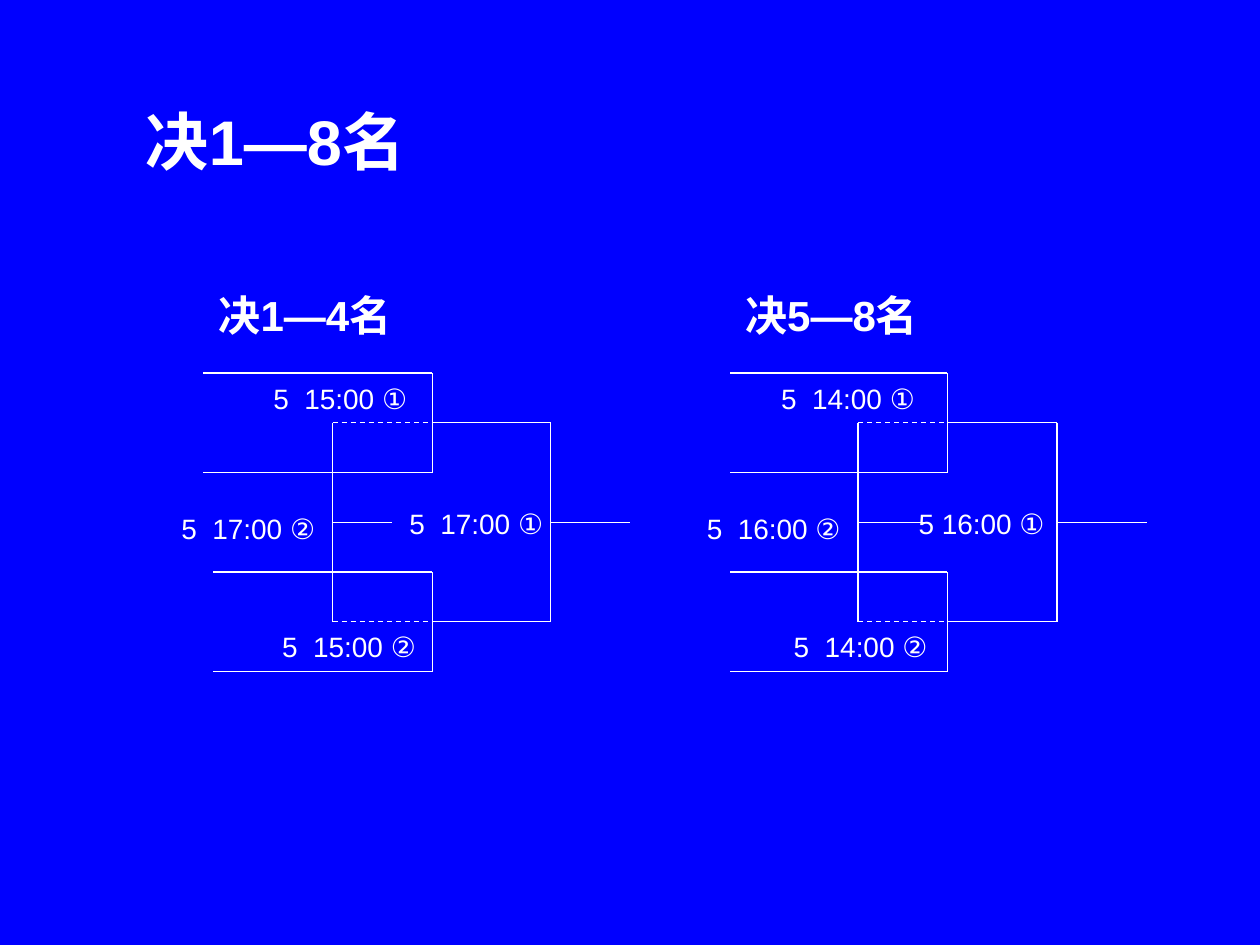
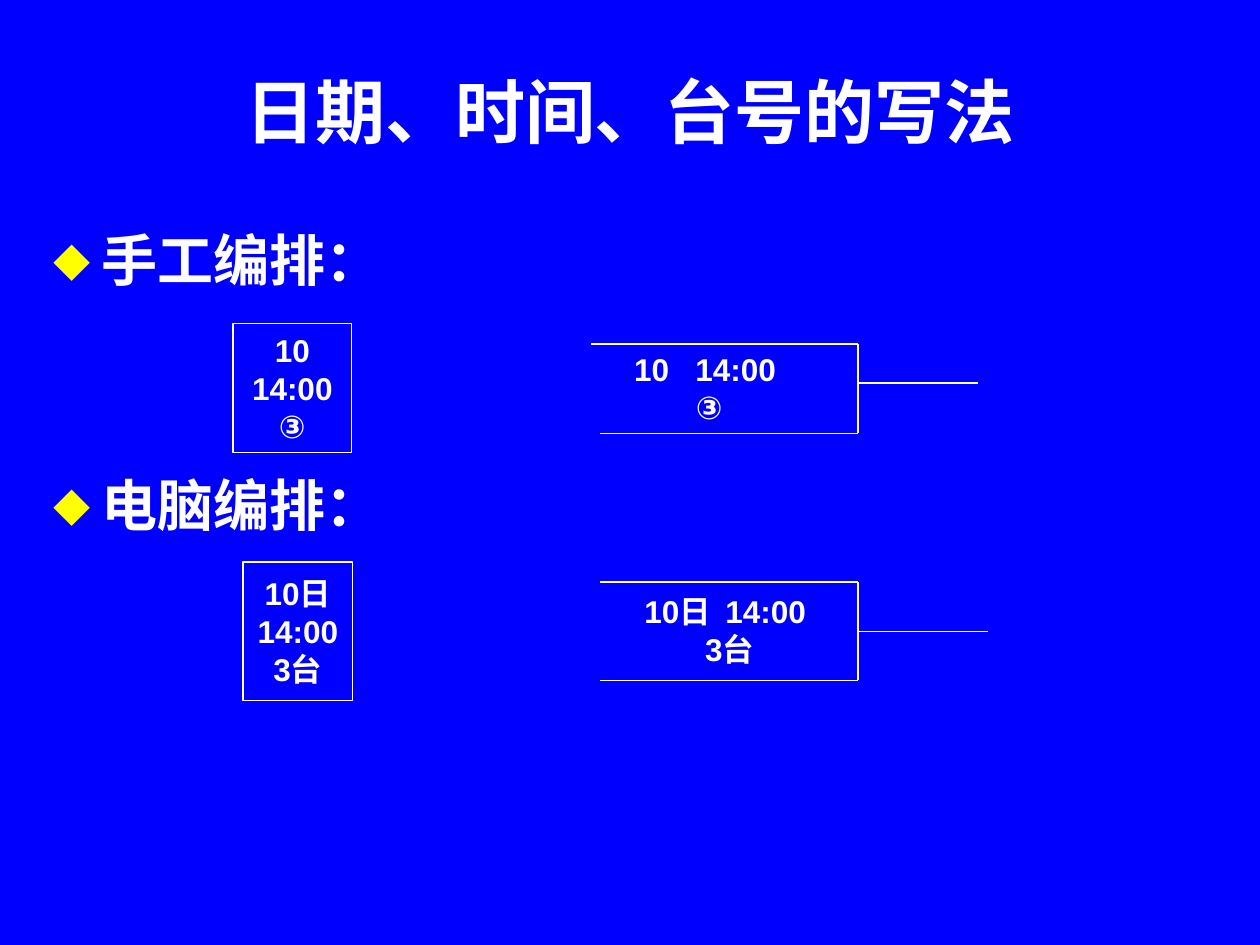
from lxml.etree import SubElement
from pptx import Presentation
from pptx.dml.color import RGBColor
from pptx.enum.dml import MSO_LINE
from pptx.enum.shapes import MSO_CONNECTOR, MSO_SHAPE
from pptx.enum.text import MSO_ANCHOR, PP_ALIGN
from pptx.oxml.ns import qn
from pptx.util import Inches, Pt

BLUE, WHITE, YELLOW = "0000FF", "FFFFFF", "FFFF00"
FONT = "Arial"
LINE_WIDTH = 0.75
ROW = 0.79  # distance between neighbouring bracket lines


def color(value):
    return RGBColor.from_string(value)


def write(sp, text, size, bold=False, align=PP_ALIGN.CENTER, wrap=False):
    tf = sp.text_frame
    tf.text = text
    tf.word_wrap = wrap
    tf.vertical_anchor = MSO_ANCHOR.MIDDLE
    for p in tf.paragraphs:
        p.alignment = align
        for r in p.runs:
            r.font.name = FONT
            r.font.size = Pt(size)
            r.font.bold = bold
            r.font.color.rgb = color(WHITE)


def add_text(s, box, text, size, **style):
    sp = s.shapes.add_textbox(*map(Inches, box))
    write(sp, text, size, **style)
    return sp


def add_label(s, cx, cy, text, size, bold=False):
    """Place one line of text centred on a point."""
    width, height = 1.6, 0.4
    add_text(s, (cx - width / 2, cy - height / 2, width, height), text, size, bold=bold)


def add_title(s, box, text, size, align):
    add_text(s, box, text, size, bold=True, align=align, wrap=True)


def add_line(s, x1, y1, x2, y2, dashed=False):
    c = s.shapes.add_connector(MSO_CONNECTOR.STRAIGHT, *map(Inches, (x1, y1, x2, y2)))
    c.line.color.rgb = color(WHITE)
    c.line.width = Pt(LINE_WIDTH)
    if dashed:
        c.line.dash_style = MSO_LINE.DASH
    SubElement(c._element.spPr, qn("a:effectLst"))


def add_bracket(s, starts, join, top, bottom, end=None, stem=None, dashed=False):
    """Two arms meet the upright at join; a stem leads on to end."""
    for start, y in zip(starts, (top, bottom)):
        add_line(s, join, y, start, y, dashed)
    add_line(s, join, top, join, bottom)
    if end is not None:
        y = (top + bottom) / 2 if stem is None else stem
        add_line(s, join, y, end, y)


def add_playoff(s, x, y, heading, lower_start, join, winner, loser, matches):
    """Four-player playoff; winner and loser hold (upright, stem end) from x."""
    for row, start in ((0, 0), (2, lower_start)):
        top = y + row * ROW
        add_bracket(s, (x + start,) * 2, x + join, top, top + ROW)
    for (upright, end), dashed in ((winner, False), (loser, True)):
        add_bracket(s, (x + join,) * 2, x + upright, y + ROW / 2, y + 2.5 * ROW,
                    x + end, dashed=dashed)
    add_label(s, x + 0.81, y - 0.46, heading, 24, bold=True)
    for dx, dy, text in matches:
        add_label(s, x + dx, y + dy, text, 16)


def add_bullet(s, x, cy, text):
    height = 0.8
    sp = add_text(s, (x, cy - height / 2, 9.34, height), text, 32,
                  bold=True, align=PP_ALIGN.LEFT, wrap=True)
    pPr = sp.text_frame.paragraphs[0]._p.get_or_add_pPr()
    pPr.set("marL", str(Inches(0.38)))
    pPr.set("indent", str(-Inches(0.38)))
    SubElement(SubElement(pPr, qn("a:buClr")), qn("a:srgbClr"), val=YELLOW)
    SubElement(pPr, qn("a:buSzPct"), val="95000")
    SubElement(pPr, qn("a:buFont"), typeface=FONT)
    SubElement(pPr, qn("a:buChar"), char="⬥")


def add_cell(s, box, text):
    sp = s.shapes.add_shape(MSO_SHAPE.RECTANGLE, *map(Inches, box))
    sp.shadow.inherit = False
    sp.fill.background()
    sp.line.color.rgb = color(WHITE)
    sp.line.width = Pt(LINE_WIDTH)
    write(sp, text, 18, bold=True)


def build_playoffs(s):
    add_title(s, (1.06, 0.6, 3.62, 1.02), "决1—8名", 36, PP_ALIGN.LEFT)
    y = 2.96
    add_playoff(s, 1.61, y, "决1—4名", 0.08, 1.82, (2.76, 3.39), (1.03, 1.5), (
        (1.09, 0.2, "5  15:00 ①"), (1.16, 2.17, "5  15:00 ②"),
        (2.17, 1.19, "5  17:00 ①"), (0.36, 1.23, "5  17:00 ②")))
    add_playoff(s, 5.79, y, "决5—8名", 0, 1.73, (2.6, 3.31), (1.02, 1.57), (
        (0.94, 0.2, "5  14:00 ①"), (1.04, 2.17, "5  14:00 ②"),
        (2, 1.19, "5 16:00 ①"), (0.35, 1.23, "5  16:00 ②")))


def build_notation(s):
    add_title(s, (0.33, 0.25, 9.34, 1.25), "日期、时间、台号的写法", 40, PP_ALIGN.CENTER)
    join = 6.81

    add_bullet(s, 0.33, 2.06, "手工编排：")
    add_cell(s, (1.85, 2.57, 0.94, 1.02), "10\n14:00\n③")
    add_bracket(s, (4.69, 4.76), join, 2.73, 3.44, end=7.76, stem=3.04)
    add_label(s, 5.63, 3.08, "10   14:00  ③", 18, bold=True)

    add_bullet(s, 0.33, 4, "电脑编排：")
    add_cell(s, (1.93, 4.46, 0.87, 1.1), "10日\n14:00\n3台")
    add_bracket(s, (4.76, 4.76), join, 4.62, 5.4, end=7.84)
    add_label(s, 5.79, 5, "10日  14:00  3台", 18, bold=True)


def main():
    prs = Presentation()
    prs.slide_width, prs.slide_height = Inches(10), Inches(7.5)
    fill = prs.slide_master.background.fill
    fill.solid()
    fill.fore_color.rgb = color(BLUE)
    for build in (build_playoffs, build_notation):
        build(prs.slides.add_slide(prs.slide_layouts[6]))
    prs.save("out.pptx")


if __name__ == "__main__":
    main()
